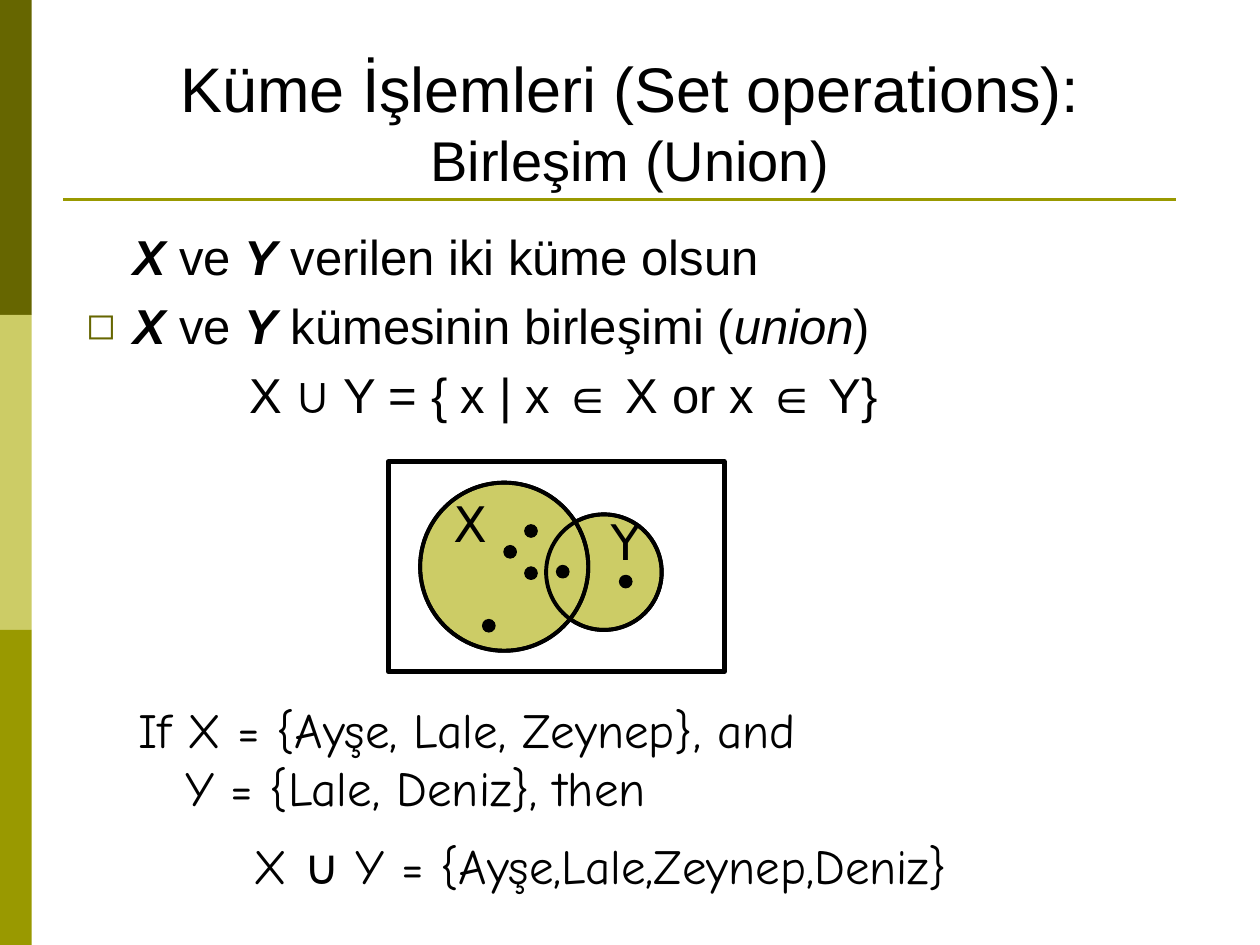
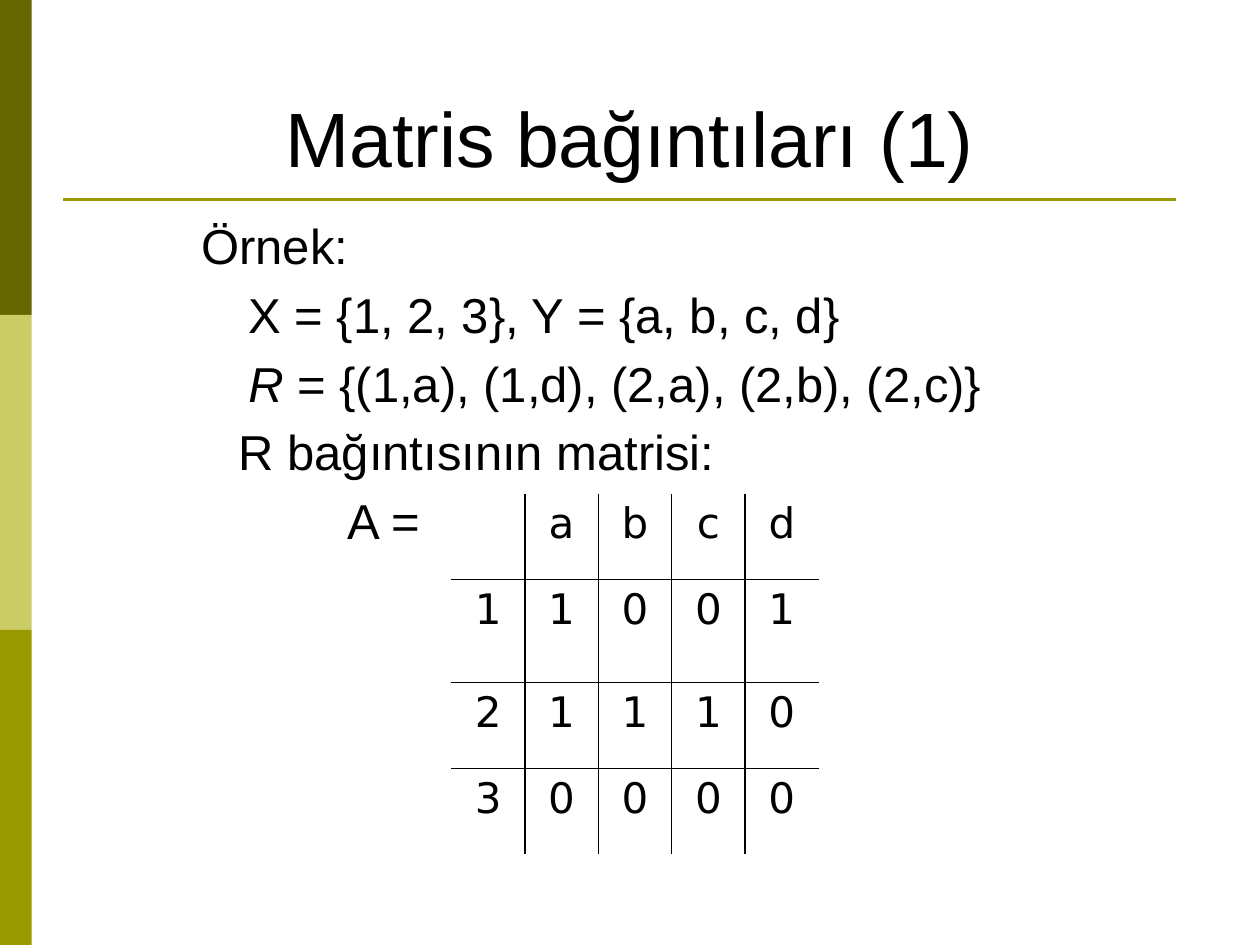
import dataclasses

import lxml.etree
import pptx
import pptx.dml.color
import pptx.enum.shapes
import pptx.enum.text
import pptx.oxml.ns
import pptx.util

Cm = pptx.util.Cm
Pt = pptx.util.Pt
qn = pptx.oxml.ns.qn
SHAPE = pptx.enum.shapes.MSO_SHAPE
ALIGN = pptx.enum.text.PP_ALIGN


@dataclasses.dataclass(frozen=True)
class Theme:
    ink: str = "000000"
    dark: str = "666600"
    light: str = "CCCC66"
    olive: str = "999900"
    sans: str = "Arial"
    hand: str = "Comic Neue"
    label: str = "DejaVu Sans"
    title: int = 44
    long_title: int = 36
    subtitle: int = 32
    body: int = 28
    cell: int = 24
    width: float = 25.4
    height: float = 19.05
    hang: float = 0.95


T = Theme()


@dataclasses.dataclass(frozen=True)
class Line:
    runs: tuple
    left: float = 0
    bullet: bool = False
    hanging: bool = False


def rgb(value):
    return pptx.dml.color.RGBColor.from_string(value)


def child(parent, tag, **attrs):
    return lxml.etree.SubElement(parent, qn(tag), attrs)


def style_run(r, font, size, style=""):
    r.font.name = font
    r.font.size = Pt(size)
    r.font.color.rgb = rgb(T.ink)
    r.font.bold = "b" in style
    r.font.italic = "i" in style


def space_before(p):
    child(child(p._p.get_or_add_pPr(), "a:spcBef"), "a:spcPct", val="20000")


def indent(p, left, first):
    pPr = p._p.get_or_add_pPr()
    pPr.set("marL", str(Cm(left)))
    pPr.set("indent", str(Cm(first)))


def add_bullet(p):
    pPr = p._p.get_or_add_pPr()
    child(child(pPr, "a:buClr"), "a:srgbClr", val=T.dark)
    child(pPr, "a:buSzPct", val="75000")
    child(pPr, "a:buFont", typeface=T.label)
    child(pPr, "a:buChar", char="◻")


def add_lines(slide, box, lines, font=T.sans):
    tf = slide.shapes.add_textbox(*map(Cm, box)).text_frame
    tf.word_wrap = True
    for i, line in enumerate(lines):
        p = tf.paragraphs[0] if i == 0 else tf.add_paragraph()
        indent(p, line.left, -T.hang if line.bullet or line.hanging else 0)
        space_before(p)
        if line.bullet:
            add_bullet(p)
        for text, style in line.runs:
            r = p.add_run()
            r.text = text
            style_run(r, font, T.body, style)


def add_preset(shapes, kind, box, fill=None, line=None, weight=0.75):
    sp = shapes.add_shape(kind, *map(Cm, box))
    sp.shadow.inherit = False
    if fill:
        sp.fill.solid()
        sp.fill.fore_color.rgb = rgb(fill)
    else:
        sp.fill.background()
    if line:
        sp.line.color.rgb = rgb(line)
        sp.line.width = Pt(weight)
    else:
        sp.line.fill.background()
    return sp


def add_frame(slide):
    band = T.height / 3
    for i, color in enumerate((T.dark, T.light, T.olive)):
        add_preset(slide.shapes, SHAPE.RECTANGLE, (0, i * band, 0.64, band), color)
    rule = slide.shapes.add_connector(
        pptx.enum.shapes.MSO_CONNECTOR.STRAIGHT, Cm(1.27), Cm(4.02), Cm(23.7), Cm(4.02))
    rule.line.color.rgb = rgb(T.olive)
    rule.line.width = Pt(1.5)
    child(rule._element.spPr, "a:effectLst")


def add_titled_slide(prs, title, sizes, height):
    slide = prs.slides.add_slide(prs.slide_layouts[5])
    add_frame(slide)
    sp = slide.shapes.title
    sp.left, sp.top, sp.width, sp.height = map(Cm, (1.27, 0.76, 22.86, height))
    tf = sp.text_frame
    tf.text = title
    tf.auto_size = pptx.enum.text.MSO_AUTO_SIZE.NONE
    tf.vertical_anchor = pptx.enum.text.MSO_ANCHOR.BOTTOM
    p = tf.paragraphs[0]
    p.alignment = ALIGN.CENTER
    for r, size in zip(p.runs, sizes):
        style_run(r, T.sans, size)
    return slide


def add_venn(slide, box):
    left, top, width, height = box
    shapes = slide.shapes.add_group_shape().shapes
    circles = ((3.18, 1.06, 2.33), (0.64, 0.42, 3.39))
    dots = ((2.33, 1.69), (2.75, 2.12), (1.9, 3.18),
            (2.75, 1.27), (4.66, 2.29), (3.39, 2.09))
    labels = (("Y", 4.23, 1.02, 1.07, 1.27), ("X", 1.06, 0.64, 1.27, 1.48))

    def add_circles(fill):
        for x, y, d in circles:
            add_preset(shapes, SHAPE.OVAL, (left + x, top + y, d, d), fill, T.ink, 2.25)

    add_preset(shapes, SHAPE.RECTANGLE, box, line=T.ink, weight=3)
    add_circles(T.light)
    for x, y in dots:
        add_preset(shapes, SHAPE.OVAL, (left + x, top + y, 0.25, 0.25), T.ink, T.ink)
    for text, x, y, w, h in labels:
        tf = shapes.add_textbox(Cm(left + x), Cm(top + y), Cm(w), Cm(h)).text_frame
        tf.word_wrap = True
        tf.text = text
        p = tf.paragraphs[0]
        p.line_spacing = 0.9
        style_run(p.runs[0], T.label, T.body)
    add_circles(None)


def set_borders(cell, inner):
    tcPr = cell._tc.get_or_add_tcPr()
    for side in "LRTB":
        ln = child(tcPr, "a:ln" + side, w=str(Pt(1)))
        if inner[side]:
            child(child(ln, "a:solidFill"), "a:srgbClr", val=T.ink)
        else:
            child(ln, "a:noFill")


def add_matrix(slide, left, top, col_width, row_heights, rows):
    n_rows, n_cols = len(rows), len(rows[0])
    table = slide.shapes.add_table(
        n_rows, n_cols, Cm(left), Cm(top),
        Cm(col_width * n_cols), Cm(sum(row_heights))).table
    table.first_row = table.horz_banding = False
    for col in table.columns:
        col.width = Cm(col_width)
    for i, (height, values) in enumerate(zip(row_heights, rows)):
        table.rows[i].height = Cm(height)
        for j, value in enumerate(values):
            cell = table.cell(i, j)
            set_borders(cell, {"L": j > 0, "R": j < n_cols - 1,
                               "T": i > 0, "B": i < n_rows - 1})
            cell.fill.background()
            if value.strip():
                cell.text = value
                p = cell.text_frame.paragraphs[0]
                p.alignment = ALIGN.CENTER
                space_before(p)
                style_run(p.runs[0], T.label, T.cell)


def build_union(prs):
    slide = add_titled_slide(
        prs, "Küme İşlemleri (Set operations):\vBirleşim (Union)",
        (T.long_title, T.subtitle), 3.25)
    pair = (("X", "bi"), (" ve ", ""), ("Y", "bi"))
    add_lines(slide, (1.48, 4.45, 22.65, 4.87), (
        Line(pair + ((" verilen iki küme olsun", ""),), T.hang),
        Line(pair + ((" kümesinin birleşimi (", ""), ("union", "i"), (")", "")),
             T.hang, bullet=True),
        Line((("X ∪ Y = { x | x ∈ X or x ∈ Y}", ""),), 3.3),
    ))
    add_venn(slide, (7.83, 9.31, 6.77, 4.23))
    add_lines(slide, (2.54, 13.97, 13.97, 2.34), (
        Line((("If X = {Ayşe, Lale, Zeynep}, and Y = {Lale, Deniz}, then", ""),),
             T.hang, hanging=True),
    ), T.hand)
    add_lines(slide, (4.87, 16.72, 16.72, 1.48), (
        Line((("X ∪ Y = {Ayşe,Lale,Zeynep,Deniz}", ""),)),
    ), T.hand)


def build_matrix(prs):
    slide = add_titled_slide(prs, "Matris bağıntıları (1)", (T.title,), 3.05)
    add_lines(slide, (3.81, 4.23, 20.32, 12.8), (
        Line((("Örnek:", ""),)),
        Line((("X = {1, 2, 3}, Y = {a, b, c, d}", ""),), T.hang),
        Line((("R", "i"), (" = {(1,a), (1,d), (2,a), (2,b), (2,c)}", "")), T.hang),
        Line((("R bağıntısının matrisi:", ""),), 0.75),
        Line((("A =", ""),), 2.95),
    ))
    add_matrix(slide, 9.1, 9.95, 1.48, (1.73, 2.08, 1.73, 1.73),
               (" abcd", "11001", "21110", "30000"))


def main():
    prs = pptx.Presentation()
    prs.slide_width, prs.slide_height = Cm(T.width), Cm(T.height)
    build_union(prs)
    build_matrix(prs)
    prs.save("out.pptx")


if __name__ == "__main__":
    main()
